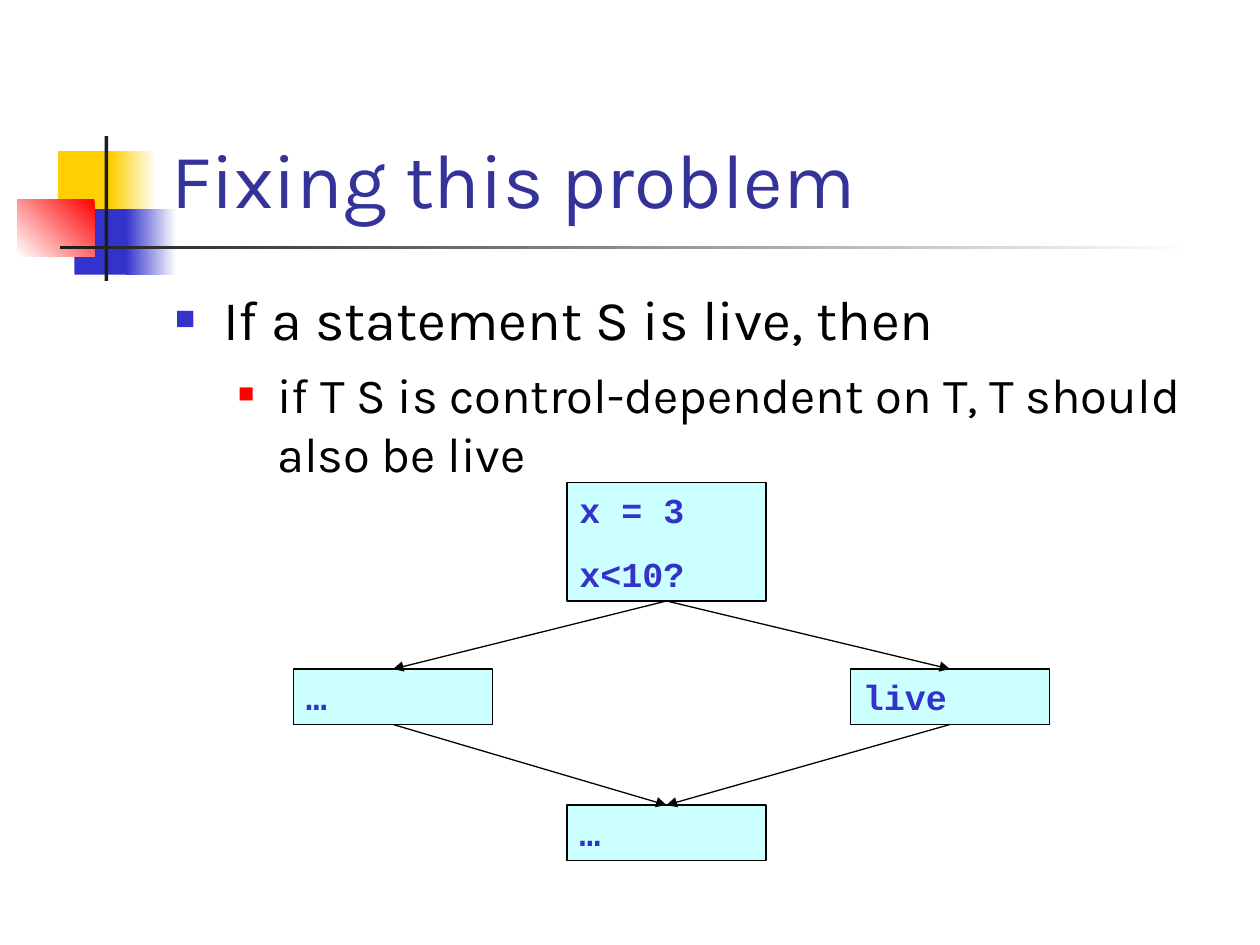
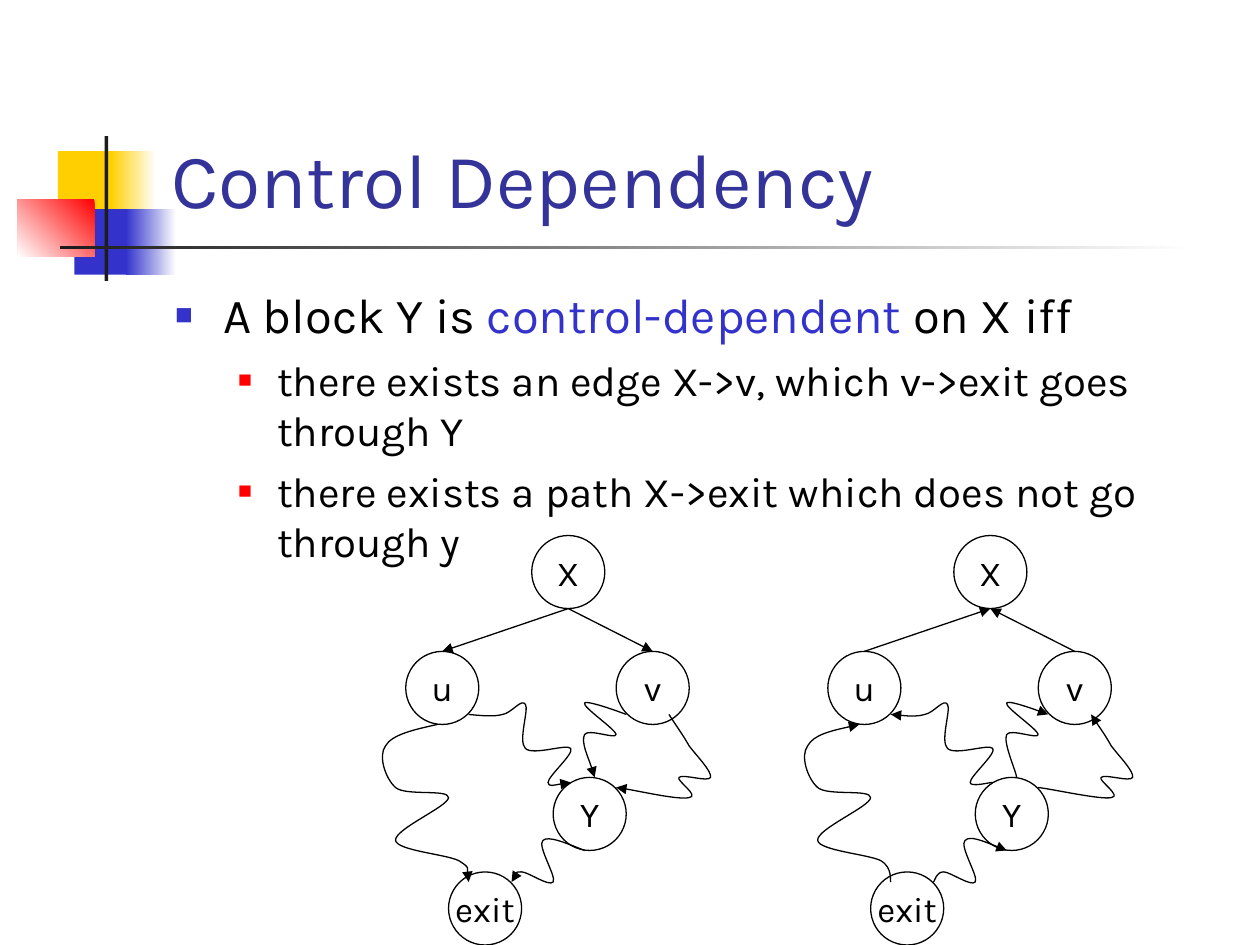
from lxml import etree
from pptx import Presentation
from pptx.dml.color import RGBColor
from pptx.enum.shapes import MSO_CONNECTOR, MSO_SHAPE
from pptx.enum.text import MSO_ANCHOR, MSO_AUTO_SIZE, PP_ALIGN
from pptx.oxml.ns import qn
from pptx.util import Inches, Pt

RECTANGLE, OVAL = MSO_SHAPE.RECTANGLE, MSO_SHAPE.OVAL
STRAIGHT = MSO_CONNECTOR.STRAIGHT
LEFT, CENTER = PP_ALIGN.LEFT, PP_ALIGN.CENTER
TOP, MIDDLE, BOTTOM = MSO_ANCHOR.TOP, MSO_ANCHOR.MIDDLE, MSO_ANCHOR.BOTTOM
FIXED, GROW = MSO_AUTO_SIZE.NONE, MSO_AUTO_SIZE.SHAPE_TO_FIT_TEXT

SANS, MONO = "Karla", "Courier New"
BLACK, WHITE, CHARCOAL = "000000", "FFFFFF", "1C1C1C"
BLUE, NAVY, RED, YELLOW, CYAN = "3333CC", "333399", "FF0000", "FFCF01", "CCFFFF"

BLOCK_WIDTH, NODE_SIZE, GRAPH_GAP = 1.58, 0.58, 3.35
LEVELS = [
    {"margin": 0.38, "indent": -0.38, "color": BLUE, "percent": 60},
    {"margin": 0.81, "indent": -0.31, "color": RED, "percent": 55},
]
MOTIF = [
    ((0.46, 1.2, 0.48, 0.52), [YELLOW], 0),
    ((0.88, 1.2, 0.36, 0.52), [WHITE, YELLOW], 180),
    ((0.59, 1.66, 0.46, 0.52), [BLUE], 0),
    ((1, 1.66, 0.4, 0.52), [WHITE, BLUE], 180),
    ((0.14, 1.58, 0.61, 0.46), [RED, WHITE], 135),
    ((0.83, 1.08, 0.03, 1.15), [CHARCOAL], 0),
    ((0.48, 1.95, 9, 0.03), [WHITE, CHARCOAL], 180),
]
NODES = {
    "X": (4.22, 4.25),
    "v": (4.89, 5.17),
    "Y": (4.39, 6.17),
    "exit": (3.56, 6.92),
    "u": (3.22, 5.17),
}
ROUTES = {
    "u to exit": [
        (3.47, 5.75), (3.29, 5.79), (3.11, 5.83), (3.06, 5.92),
        (3, 6), (3.06, 6.18), (3.14, 6.25), (3.22, 6.32), (3.56, 6.26), (3.56, 6.33),
        (3.56, 6.4), (3.13, 6.58), (3.14, 6.67), (3.15, 6.75), (3.54, 6.78), (3.64, 6.83),
        (3.74, 6.89), (3.71, 6.99), (3.72, 7)],
    "u to Y": [
        (3.72, 5.67), (3.82, 5.68), (3.92, 5.69), (3.99, 5.67),
        (4.06, 5.66), (4.14, 5.54), (4.17, 5.59), (4.2, 5.63), (4.11, 5.88), (4.17, 5.94),
        (4.23, 6), (4.5, 5.9), (4.53, 5.94), (4.56, 5.98), (4.35, 6.16), (4.35, 6.21),
        (4.35, 6.25), (4.5, 6.21), (4.53, 6.21)],
    "v to Y, inner": [
        (4.97, 5.67), (4.81, 5.61), (4.65, 5.56), (4.64, 5.58),
        (4.62, 5.61), (4.89, 5.79), (4.89, 5.83), (4.89, 5.87), (4.67, 5.78), (4.64, 5.83),
        (4.61, 5.89), (4.71, 6.11), (4.72, 6.17)],
    "v to Y, outer": [
        (5.31, 5.67), (5.36, 5.75), (5.42, 5.83), (5.47, 5.92),
        (5.53, 6), (5.65, 6.12), (5.64, 6.17), (5.62, 6.21), (5.42, 6.14), (5.39, 6.17),
        (5.36, 6.19), (5.56, 6.32), (5.47, 6.33), (5.39, 6.35), (4.99, 6.26), (4.89, 6.25)],
    "Y to exit": [
        (4.64, 6.75), (4.49, 6.69), (4.35, 6.63), (4.31, 6.67),
        (4.26, 6.71), (4.42, 6.96), (4.39, 7), (4.36, 7.04), (4.19, 6.92), (4.14, 6.92),
        (4.08, 6.92), (4.07, 6.99), (4.06, 7)],
}


def rgb(color):
    return RGBColor.from_string(color)


def place(shape, left, top, width, height):
    shape.left, shape.top = Inches(left), Inches(top)
    shape.width, shape.height = Inches(width), Inches(height)


def set_font(font, name, size, color, bold=False):
    font.name, font.size, font.bold = name, Pt(size), bold
    font.color.rgb = rgb(color)


def set_line(shape):
    shape.line.color.rgb = rgb(BLACK)
    shape.line.width = Pt(0.75)


def add_arrowhead(shape, end):
    line = shape.element.find(".//" + qn("a:ln"))
    etree.SubElement(line, qn(f"a:{end}"), type="triangle")


def add_shape(page, kind, at):
    shape = page.shapes.add_shape(kind, *map(Inches, at))
    shape.shadow.inherit = False
    return shape


def add_motif(page, master):
    tree = master.shapes.element
    for at, colors, angle in MOTIF:
        shape = add_shape(page, RECTANGLE, at)
        shape.line.fill.background()
        if len(colors) == 1:
            shape.fill.solid()
            shape.fill.fore_color.rgb = rgb(colors[0])
        else:
            shape.fill.gradient()
            shape.fill.gradient_angle = (360 - angle) % 360
            for stop, position, color in zip(shape.fill.gradient_stops, (0, 1), colors):
                stop.position = position
                stop.color.rgb = rgb(color)
        tree.append(shape.element)


def set_bullet(paragraph, level):
    properties = paragraph._p.get_or_add_pPr()
    properties.set("marL", str(Inches(level["margin"])))
    properties.set("indent", str(Inches(level["indent"])))
    color = etree.SubElement(properties, qn("a:buClr"))
    etree.SubElement(color, qn("a:srgbClr"), val=level["color"])
    etree.SubElement(properties, qn("a:buSzPct"), val=str(level["percent"] * 1000))
    etree.SubElement(properties, qn("a:buChar"), char="■")


def add_page(deck, title, items, sizes, spacing):
    page = deck.slides.add_slide(deck.slide_layouts[1])
    heading, body = page.placeholders
    place(heading, 1.26, 0.23, 8.52, 1.6)
    place(body, 1.29, 2.21, 8.5, 4.5)
    for box, anchor in ((heading, BOTTOM), (body, TOP)):
        box.text_frame.auto_size = FIXED
        box.text_frame.vertical_anchor = anchor

    heading.text_frame.text = title
    paragraph = heading.text_frame.paragraphs[0]
    paragraph.alignment = LEFT
    set_font(paragraph.font, SANS, 44, NAVY)

    for index, (level, spans) in enumerate(items):
        frame = body.text_frame
        paragraph = frame.add_paragraph() if index else frame.paragraphs[0]
        paragraph.level = level
        paragraph.space_before = Pt(spacing[level])
        set_bullet(paragraph, LEVELS[level])
        set_font(paragraph.font, SANS, sizes[level], BLACK)
        for text, color in spans:
            span = paragraph.add_run()
            span.text = text
            if color != BLACK:
                span.font.color.rgb = rgb(color)
    return page


def add_block(page, text, left, top, height=0.44):
    block = add_shape(page, RECTANGLE, (left, top, BLOCK_WIDTH, height))
    block.fill.solid()
    block.fill.fore_color.rgb = rgb(CYAN)
    set_line(block)
    frame = block.text_frame
    frame.text = text
    frame.word_wrap = True
    frame.auto_size = GROW
    frame.vertical_anchor = TOP
    for paragraph in frame.paragraphs:
        paragraph.alignment = LEFT
        paragraph.space_before = Pt(12.5)
        set_font(paragraph.font, MONO, 20, BLUE, True)
    return block


def add_node(page, text, left, top):
    node = add_shape(page, OVAL, (left, top, NODE_SIZE, NODE_SIZE))
    node.fill.background()
    set_line(node)
    frame = node.text_frame
    frame.text = text
    frame.word_wrap = False
    frame.vertical_anchor = MIDDLE
    paragraph = frame.paragraphs[0]
    paragraph.alignment = CENTER
    set_font(paragraph.font, SANS, 20, BLACK)
    return node


def add_edge(page, upper, lower, end="tailEnd"):
    edge = page.shapes.add_connector(
        STRAIGHT,
        upper.left + upper.width // 2, upper.top + upper.height,
        lower.left + lower.width // 2, lower.top)
    set_line(edge)
    add_arrowhead(edge, end)
    etree.SubElement(edge.element.find(qn("p:spPr")), qn("a:effectLst"))


def add_curve(page, points, shift, end):
    start, *others = [(Inches(x + shift), Inches(y)) for x, y in points]
    builder = page.shapes.build_freeform(*start)
    builder.add_line_segments(others, close=False)
    curve = builder.convert_to_shape()
    curve.shadow.inherit = False
    curve.fill.background()
    set_line(curve)
    add_arrowhead(curve, end)
    segments = list(curve.element.iter(qn("a:lnTo")))
    for first, second, third in zip(segments[::3], segments[1::3], segments[2::3]):
        first.tag = qn("a:cubicBezTo")
        for segment in (second, third):
            first.append(segment[0])
            segment.getparent().remove(segment)


def add_graph(page, shift, end):
    nodes = {name: add_node(page, name, left + shift, top)
             for name, (left, top) in NODES.items()}
    for name in ("u", "v"):
        add_edge(page, nodes["X"], nodes[name], end)
    for points in ROUTES.values():
        add_curve(page, points, shift, end)


def add_fixing_page(deck):
    page = add_page(deck, "Fixing this problem", [
        (0, [("If a statement S is live, then", BLACK)]),
        (1, [("if T S is control-dependent on T, T should also be live", BLACK)]),
    ], sizes=(32, 28), spacing=(8, 7))
    test = add_block(page, "x = 3\nx<10?", 4.5, 3.83, 0.94)
    other = add_block(page, "…", 2.33, 5.31)
    join = add_block(page, "…", 4.5, 6.39)
    live = add_block(page, "live", 6.75, 5.31)
    for branch in (other, live):
        add_edge(page, test, branch)
        add_edge(page, branch, join)
    return page


def add_dependency_page(deck):
    page = add_page(deck, "Control Dependency", [
        (0, [("A block Y is ", BLACK), ("control-dependent ", BLUE), ("on X iff", BLACK)]),
        (1, [("there exists an edge X->v, which v->exit goes through Y", BLACK)]),
        (1, [("there exists a path X->exit which does not go through y", BLACK)]),
    ], sizes=(28, 24), spacing=(7, 6))
    add_graph(page, 0, "tailEnd")
    add_graph(page, GRAPH_GAP, "headEnd")


def main():
    deck = Presentation()
    deck.slide_width, deck.slide_height = Inches(10), Inches(7.5)
    first_page = add_fixing_page(deck)
    add_motif(first_page, deck.slide_master)
    add_dependency_page(deck)
    deck.save("out.pptx")


if __name__ == "__main__":
    main()
